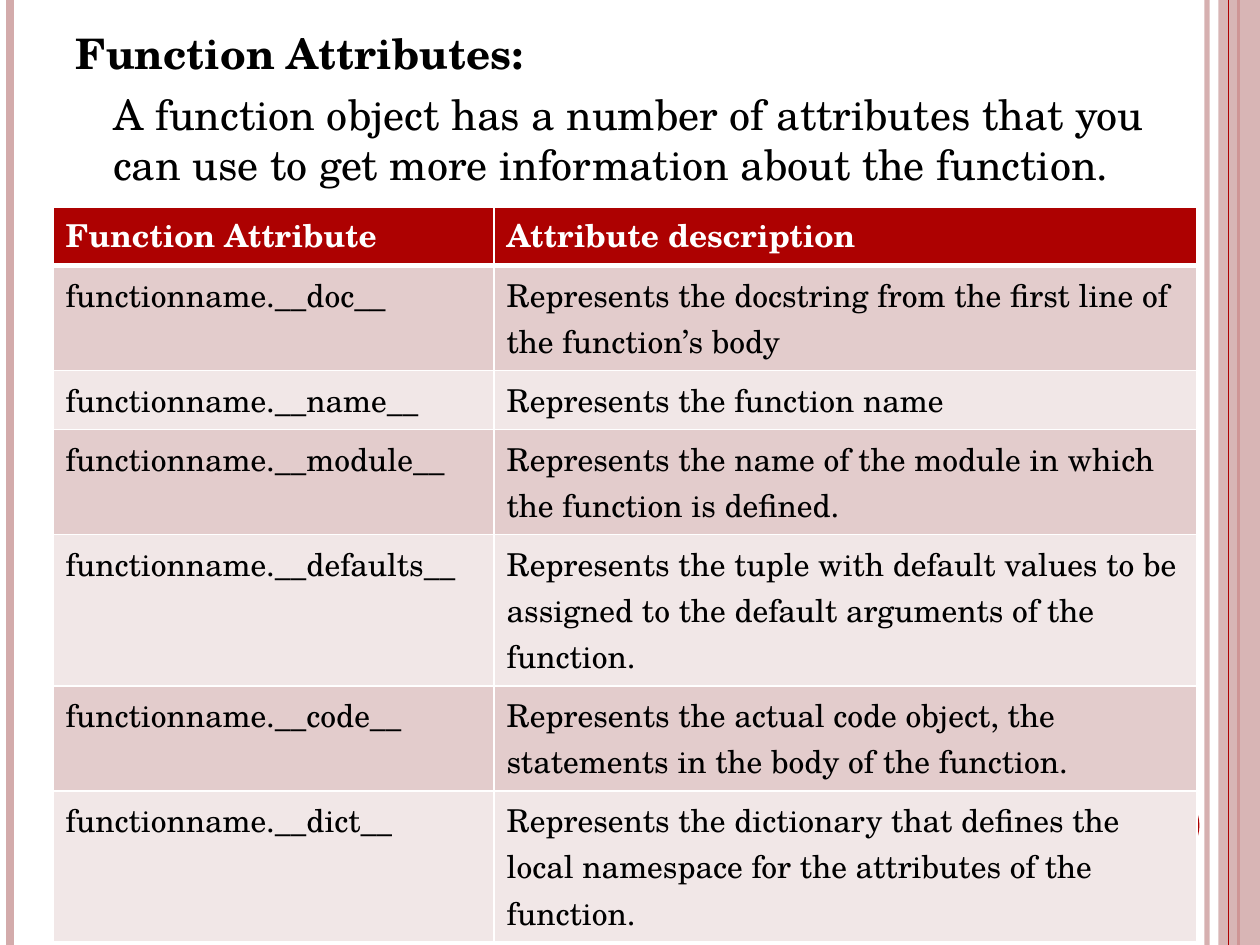
import pptx
import pptx.util
import pptx.dml.color
import pptx.enum.shapes
import pptx.enum.text
import pptx.oxml.ns
import lxml.etree

Cm, Pt = pptx.util.Cm, pptx.util.Pt
FONT = "TeX Gyre Schola"
COLORS = {"red": "AD0101", "rose": "D3ABAB", "dark band": "E3CCCC",
          "light band": "F1E7E7", "white": "FFFFFF", "black": "000000"}

HEADING = "Function Attributes:"
INTRO = ("A function object has a number of attributes that you can use "
         "to get more information about the function.")
ATTRIBUTES = [
    ("Function Attribute", "Attribute description"),
    ("functionname.__doc__", "Represents the docstring from the first line of the function’s body"),
    ("functionname.__name__", "Represents the function name"),
    ("functionname.__module__", "Represents the name of the module in which the function is defined."),
    ("functionname.__defaults__", "Represents the tuple with default values to be assigned "
                                  "to the default arguments of the function."),
    ("functionname.__code__", "Represents the actual code object, the statements in the body of the function."),
    ("functionname.__dict__", "Represents the dictionary that defines the local namespace "
                              "for the attributes of the function."),
]
COLUMN_WIDTHS = [8.89, 14.17]
SHORT_ROW, TALL_ROW = 1.04, 1.78
SHORT_ROWS = (0, 2)
WIDTH, HEIGHT = 25.4, 19.05


def rgb(color):
    return pptx.dml.color.RGBColor.from_string(COLORS[color])


def add_alpha(element, percent):
    for color in element.iter(pptx.oxml.ns.qn("a:srgbClr")):
        lxml.etree.SubElement(color, pptx.oxml.ns.qn("a:alpha"), val=str(percent * 1000))


def add_rule(x, color, weight, alpha=100):
    rule = slide.shapes.add_connector(
        pptx.enum.shapes.MSO_CONNECTOR.STRAIGHT, Cm(x), Cm(0), Cm(x), Cm(HEIGHT))
    rule.line.color.rgb = rgb(color)
    rule.line.width = Pt(weight)
    properties = rule._element.spPr
    if alpha < 100:
        add_alpha(properties, alpha)
    lxml.etree.SubElement(properties, pptx.oxml.ns.qn("a:effectLst"))


def add_plain_shape(kind, left, top, width, height, color):
    shape = slide.shapes.add_shape(kind, Cm(left), Cm(top), Cm(width), Cm(height))
    shape.shadow.inherit = False
    shape.fill.solid()
    shape.fill.fore_color.rgb = rgb(color)
    shape.line.fill.background()
    return shape


def add_text(paragraph, text, size, color, bold):
    run = paragraph.add_run()
    run.text = text
    run.font.name = FONT
    run.font.size = Pt(size)
    run.font.bold = bold
    run.font.color.rgb = rgb(color)


def add_borders(cell, bottom):
    properties = cell._tc.get_or_add_tcPr()
    sides = [("lnL", 1), ("lnR", 1), ("lnT", 1), ("lnB", bottom)]
    for position, (side, weight) in enumerate(sides):
        border = lxml.etree.Element(pptx.oxml.ns.qn("a:" + side), w=str(Pt(weight)))
        fill = lxml.etree.SubElement(border, pptx.oxml.ns.qn("a:solidFill"))
        lxml.etree.SubElement(fill, pptx.oxml.ns.qn("a:srgbClr"), val=COLORS["white"])
        properties.insert(position, border)


presentation = pptx.Presentation()
presentation.slide_width, presentation.slide_height = Cm(WIDTH), Cm(HEIGHT)
slide = presentation.slides.add_slide(presentation.slide_layouts[6])

add_rule(24.33, "rose", 3, 93)
add_rule(0.2, "rose", 4.5)
add_rule(24.97, "red", 1.5)
side_band = add_plain_shape(pptx.enum.shapes.MSO_SHAPE.RECTANGLE, 24.56, 0, 0.84, HEIGHT, "rose")
add_alpha(side_band._element.spPr, 87)
add_rule(24.77, "red", 0.75)
add_plain_shape(pptx.enum.shapes.MSO_SHAPE.OVAL, 22.66, 15.88, 1.52, 1.52, "red")

body = slide.shapes.add_textbox(Cm(1.27), Cm(0.43), Cm(22.86), Cm(17.98)).text_frame
body.word_wrap = True
heading = body.paragraphs[0]
intro = body.add_paragraph()
intro._p.get_or_add_pPr().set("marL", str(Cm(0.76)))
for paragraph, text, bold in [(heading, HEADING, True), (intro, INTRO, False)]:
    paragraph.space_before = Pt(6)
    add_text(paragraph, text, 24, "black", bold)

row_heights = [SHORT_ROW if row in SHORT_ROWS else TALL_ROW for row in range(len(ATTRIBUTES))]
table = slide.shapes.add_table(
    len(ATTRIBUTES), len(COLUMN_WIDTHS), Cm(1.07), Cm(4.17),
    Cm(sum(COLUMN_WIDTHS)), Cm(sum(row_heights))).table
for column, width in zip(table.columns, COLUMN_WIDTHS):
    column.width = Cm(width)
for row, (height, texts) in enumerate(zip(row_heights, ATTRIBUTES)):
    table.rows[row].height = Cm(height)
    is_header = row == 0
    band = "red" if is_header else ("light band", "dark band")[row % 2]
    for column, text in enumerate(texts):
        cell = table.cell(row, column)
        cell.fill.solid()
        cell.fill.fore_color.rgb = rgb(band)
        add_borders(cell, 3 if is_header else 1)
        paragraph = cell.text_frame.paragraphs[0]
        paragraph.line_spacing = Pt(26.4)
        add_text(paragraph, text, 18, "white" if is_header else "black", is_header)

presentation.save("out.pptx")
